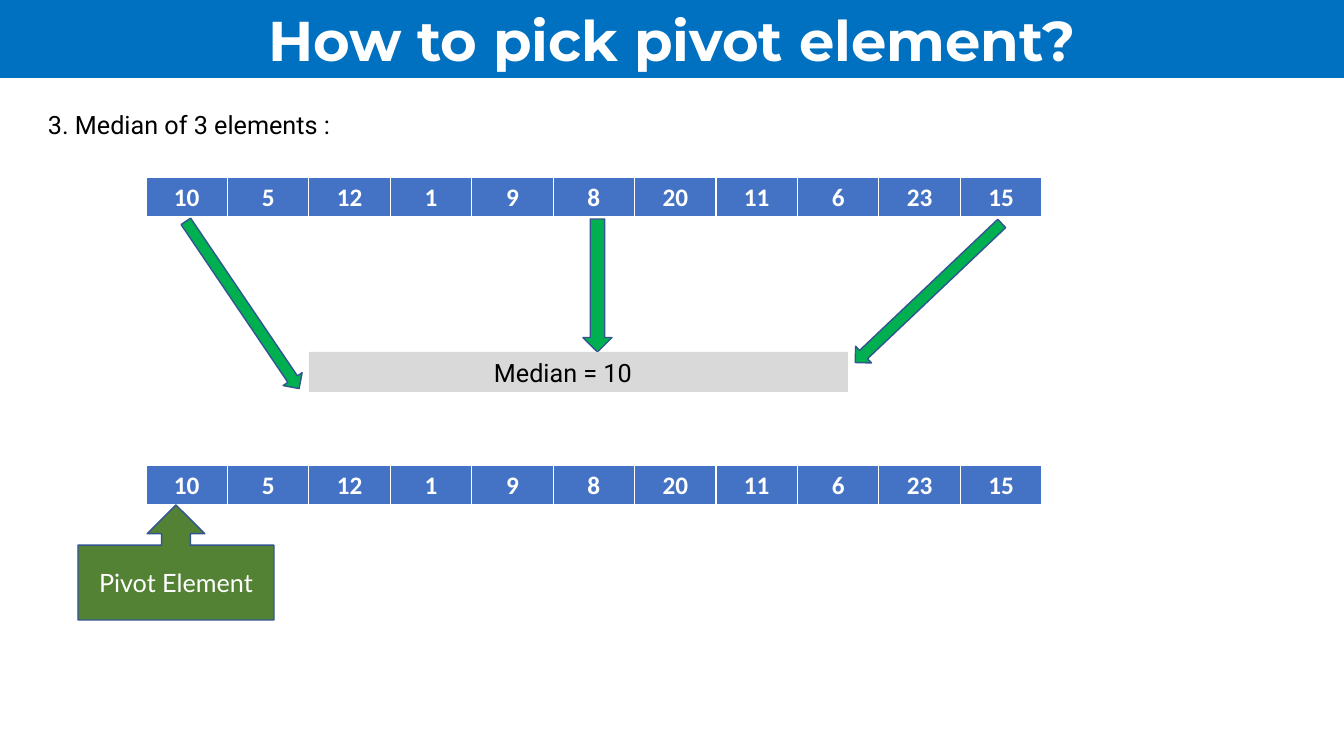
from pptx import Presentation
from pptx.dml.color import RGBColor
from pptx.enum.shapes import MSO_SHAPE
from pptx.enum.text import MSO_ANCHOR, PP_ALIGN
from pptx.oxml.ns import qn
from pptx.util import Emu, Pt
from lxml.etree import SubElement

EMU_PER_PX = 914400 / 100.8
COLORS = {
    "title": "0070C0", "white": "FFFFFF", "black": "000000",
    "cell": "4472C4", "arrow": "00B050", "callout": "548235",
    "outline": "325491", "median": "D9D9D9",
}
NUMBERS = [10, 5, 12, 1, 9, 8, 20, 11, 6, 23, 15]
BORDERS = {"a:lnL": 1, "a:lnR": 1, "a:lnT": 1, "a:lnB": 3}

TITLE = {"name": "Montserrat", "size": Pt(40), "bold": True}
BODY = {"name": "Roboto", "size": Pt(18)}
CALLOUT = {"name": "Lato", "size": Pt(18)}
CELL = {"name": "Calibri", "size": Pt(18), "bold": True}


def px(*lengths):
    return [Emu(round(length * EMU_PER_PX)) for length in lengths]


def color(name):
    return RGBColor.from_string(COLORS[name])


def write(frame, text, font, ink, align=PP_ALIGN.LEFT):
    para = frame.paragraphs[0]
    para.alignment = align
    span = para.add_run()
    span.text = text
    for key, value in font.items():
        setattr(span.font, key, value)
    span.font.color.rgb = color(ink)


def add_block(page, kind, area, fill, outline=None, rotation=0):
    box = page.shapes.add_shape(kind, *px(*area))
    box.shadow.inherit = False
    box.rotation = rotation
    box.fill.solid()
    box.fill.fore_color.rgb = color(fill)
    if outline:
        box.line.color.rgb = color(outline)
        box.line.width = Pt(1)
    else:
        box.line.fill.background()
    box.text_frame.vertical_anchor = MSO_ANCHOR.MIDDLE
    return box


def add_label(page, area, text):
    box = page.shapes.add_textbox(*px(*area))
    box.text_frame.word_wrap = True
    write(box.text_frame, text, BODY, "black")


def add_border(cell, side, points):
    line = SubElement(cell._tc.get_or_add_tcPr(), qn(side), w=str(Pt(points)))
    fill = SubElement(line, qn("a:solidFill"))
    SubElement(fill, qn("a:srgbClr"), val=COLORS["white"])


def add_array(page, top):
    area = px(146, top, 896, 41)
    table = page.shapes.add_table(1, len(NUMBERS), *area).table
    for cell, number in zip(table.iter_cells(), NUMBERS):
        for side, points in BORDERS.items():
            add_border(cell, side, points)
        cell.fill.solid()
        cell.fill.fore_color.rgb = color("cell")
        write(cell.text_frame, str(number), CELL, "white", PP_ALIGN.CENTER)


def main():
    deck = Presentation()
    deck.slide_width, deck.slide_height = px(1344, 756)
    page = deck.slides.add_slide(deck.slide_layouts[6])

    # Title band and heading
    band = add_block(page, MSO_SHAPE.RECTANGLE, (0, 0, 1344, 78), "title")
    write(band.text_frame, "How to pick pivot element?", TITLE, "white", PP_ALIGN.CENTER)
    add_label(page, (38, 104, 396, 40), "3. Median of 3 elements :")

    # The array, before and after the pivot is chosen
    for top in (177, 465):
        add_array(page, top)

    # Pivot callout
    pivot = add_block(page, MSO_SHAPE.UP_ARROW_CALLOUT, (78, 505, 196, 115),
                      "callout", "outline")
    write(pivot.text_frame, "Pivot Element", CALLOUT, "white", PP_ALIGN.CENTER)

    # Arrows from the first, last and middle elements
    for area, rotation in (((231, 204, 23, 202), 145.9),
                           ((917, 192, 23, 202), 226.5),
                           ((583, 219, 29, 133), 180)):
        add_block(page, MSO_SHAPE.UP_ARROW, area, "arrow", "outline", rotation)

    # Median result, indented from the left edge
    median = add_block(page, MSO_SHAPE.RECTANGLE, (309, 352, 539, 40), "median")
    median.text_frame.margin_left, = px(185)
    write(median.text_frame, "Median = 10", BODY, "black")

    deck.save("out.pptx")


if __name__ == "__main__":
    main()
